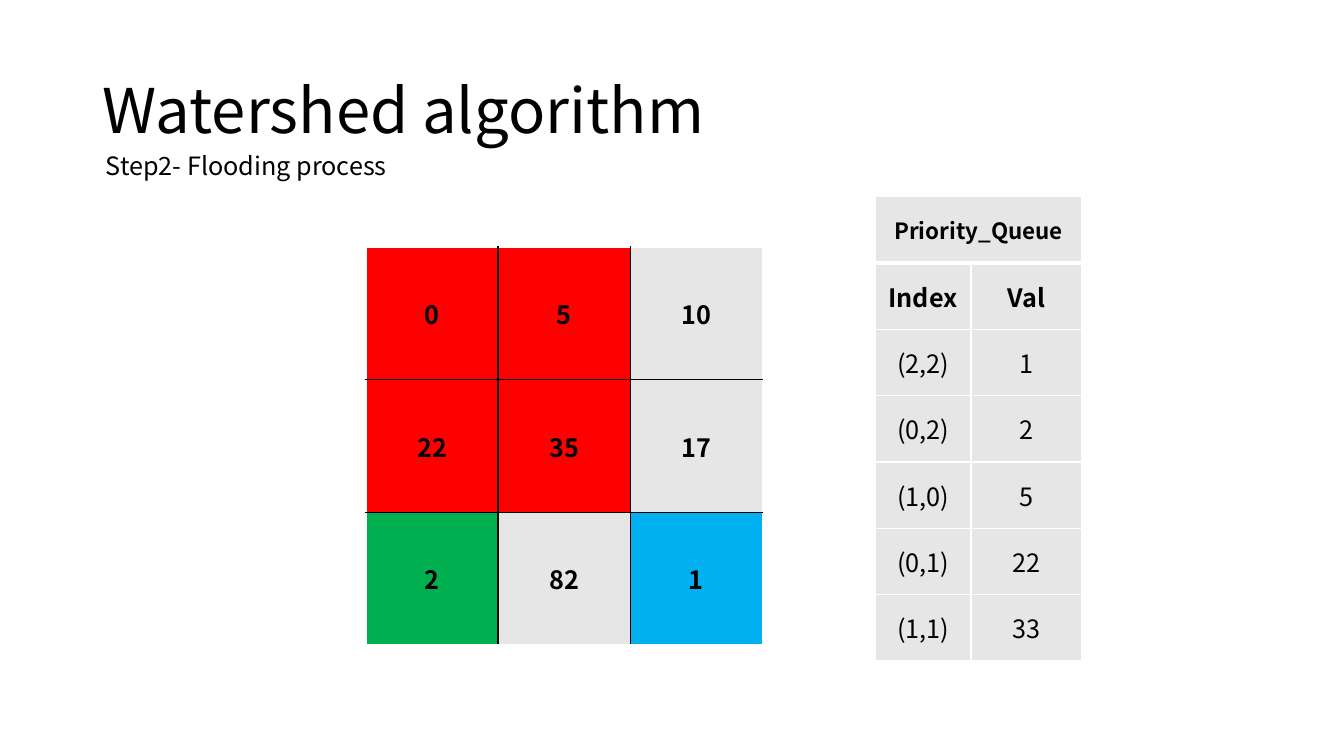
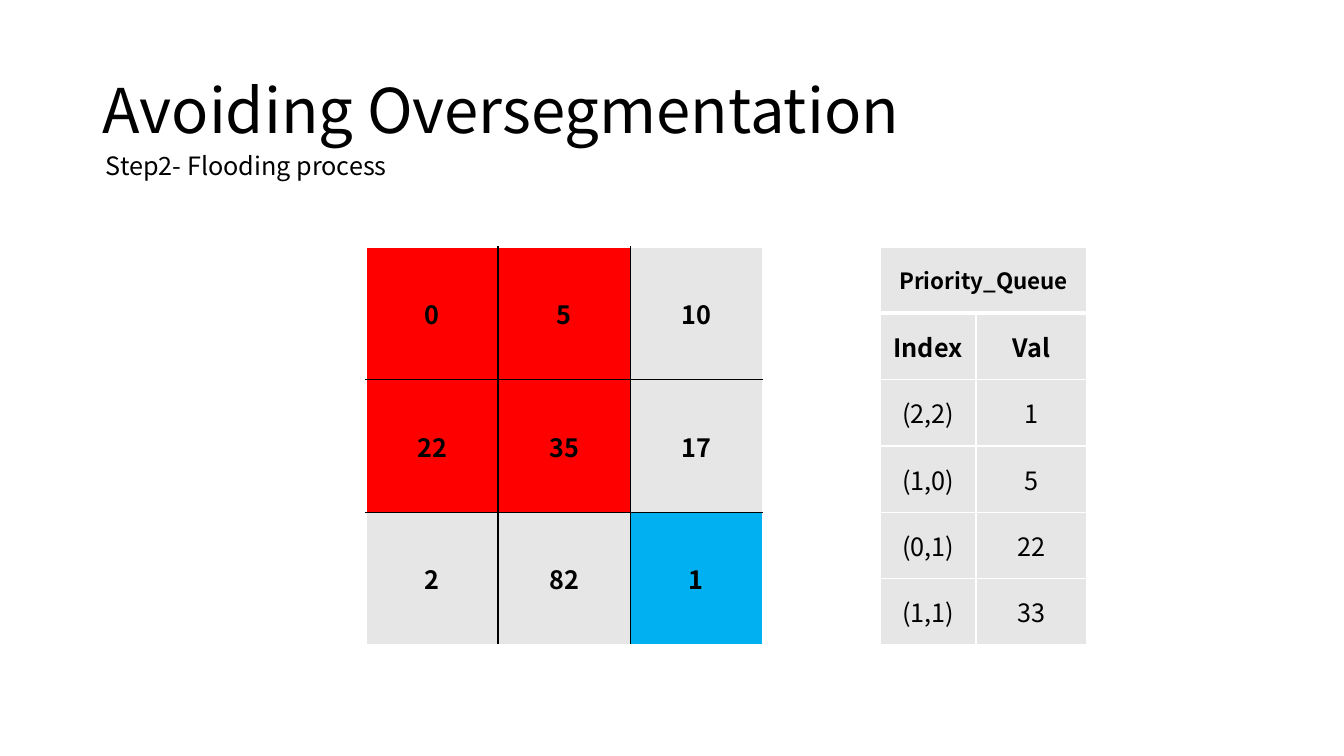
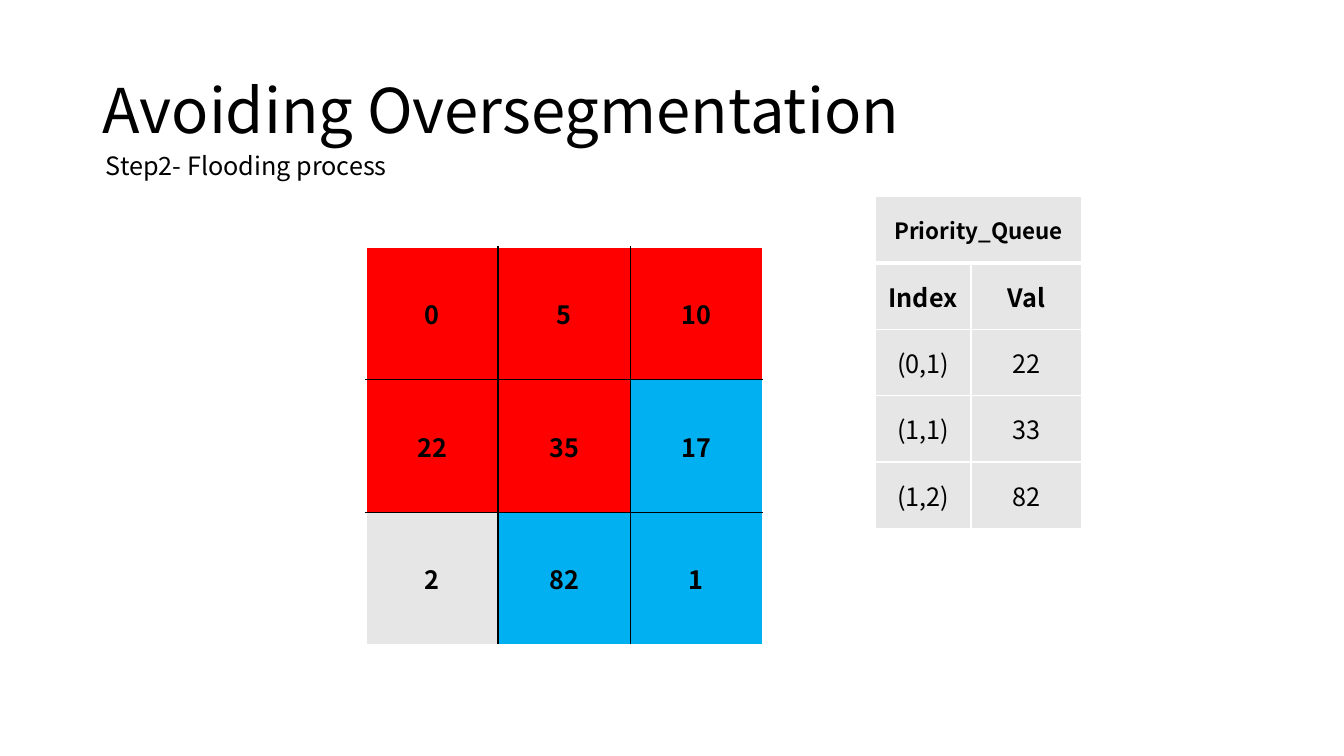
from lxml import etree
from pptx import Presentation
from pptx.dml.color import RGBColor
from pptx.enum.text import MSO_ANCHOR, MSO_AUTO_SIZE, PP_ALIGN
from pptx.oxml.ns import qn
from pptx.util import Inches, Pt

MIDDLE, TOP = MSO_ANCHOR.MIDDLE, MSO_ANCHOR.TOP
LEFT, CENTER = PP_ALIGN.LEFT, PP_ALIGN.CENTER
NO_FIT, GROW = MSO_AUTO_SIZE.NONE, MSO_AUTO_SIZE.SHAPE_TO_FIT_TEXT
TITLE_ONLY = 5

FONT = "Noto Sans CJK KR"
BLACK, WHITE, GRAY = "000000", "FFFFFF", "E7E6E6"
FILLS = {"R": "FF0000", "G": "00B050", "B": "00B0F0", "-": GRAY}

PIXELS = [[0, 5, 10], [22, 35, 17], [2, 82, 1]]
GRID_W, GRID_H = 3.93, 3.95
QUEUE_COLS = [0.95, 1.1]
QUEUE_ROW = GRID_H / 6


def rgb(value):
    return RGBColor.from_string(value)


def set_attrs(obj, values):
    for name, value in values.items():
        setattr(obj, name, value)


def set_border(cell, side, color, width):
    """Draw one side (L, R, T or B) of a cell; call before filling it."""
    ln = etree.SubElement(cell._tc.get_or_add_tcPr(), qn("a:ln" + side), w=str(Pt(width)))
    fill = etree.SubElement(ln, qn("a:solidFill"))
    etree.SubElement(fill, qn("a:srgbClr"), val=color)


class Deck:
    def __init__(self):
        self.prs = Presentation()
        self.prs.slide_width, self.prs.slide_height = Inches(13.33), Inches(7.5)
        self.s = None

    def add_text(self, tf, text, size, bold=False, align=LEFT):
        p = tf.paragraphs[0]
        p.alignment = align
        r = p.add_run()
        r.text = str(text)
        set_attrs(r.font, {"name": FONT, "size": Pt(size), "bold": bold})
        r.font.color.rgb = rgb(BLACK)
        return p

    def slide(self, title, subtitle):
        self.s = self.prs.slides.add_slide(self.prs.slide_layouts[TITLE_ONLY])
        self.title(title)
        self.subtitle(subtitle)

    def title(self, text):
        sp = self.s.shapes.title
        set_attrs(sp, {"left": Inches(0.92), "top": Inches(0.4),
                       "width": Inches(11.5), "height": Inches(1.45)})
        set_attrs(sp.text_frame, {"vertical_anchor": MIDDLE, "word_wrap": True,
                                  "auto_size": NO_FIT})
        self.add_text(sp.text_frame, text, 44).line_spacing = 0.9

    def subtitle(self, text):
        sp = self.s.shapes.add_textbox(Inches(0.95), Inches(1.44), Inches(6.21), Inches(0.4))
        set_attrs(sp.text_frame, {"vertical_anchor": TOP, "word_wrap": True,
                                  "auto_size": GROW})
        self.add_text(sp.text_frame, text, 18)

    def table(self, rows, cols, left, top, width, height):
        tbl = self.s.shapes.add_table(rows, cols, Inches(left), Inches(top),
                                      Inches(width), Inches(height)).table
        set_attrs(tbl, {"first_row": False, "horz_banding": False})
        return tbl

    def cell(self, cell, text, fill, borders, size=18, bold=False):
        for side, (color, width) in borders.items():
            set_border(cell, side, color, width)
        cell.fill.solid()
        cell.fill.fore_color.rgb = rgb(fill)
        cell.vertical_anchor = MIDDLE
        if text is not None:
            self.add_text(cell.text_frame, text, size, bold, CENTER)

    def pixel_grid(self, regions):
        """Pixel values, filled by region; lines only between cells."""
        n = len(PIXELS)
        tbl = self.table(n, n, 3.63, 2.45, GRID_W, GRID_H)
        for i, row in enumerate(PIXELS):
            for j, value in enumerate(row):
                inner = {"L": j > 0, "R": j < n - 1, "T": i > 0, "B": i < n - 1}
                borders = {side: (BLACK, 1) for side, shown in inner.items() if shown}
                self.cell(tbl.cell(i, j), value, FILLS[regions[i][j]], borders, bold=True)

    def queue(self, left, top, entries):
        """Priority queue: merged heading, column names, then the entries."""
        rows = [("Priority_Queue", None), ("Index", "Val"), *entries]
        tbl = self.table(len(rows), 2, left, top, sum(QUEUE_COLS), QUEUE_ROW * len(rows))
        for col, width in zip(tbl.columns, QUEUE_COLS):
            col.width = Inches(width)
        tbl.cell(0, 0).merge(tbl.cell(0, 1))
        for i, row in enumerate(rows):
            widths = {"L": 1, "R": 1, "T": 3 if i == 1 else 1, "B": 3 if i == 0 else 1}
            borders = {side: (WHITE, width) for side, width in widths.items()}
            for j, text in enumerate(row):
                self.cell(tbl.cell(i, j), text, GRAY, borders,
                          size=16 if i == 0 else 18, bold=i < 2)


# Title, region of each pixel, queue position, queue entries
STEPS = [
    ("Watershed algorithm", ["RR-", "RR-", "G-B"], (8.68, 1.95),
     [("(2,2)", 1), ("(0,2)", 2), ("(1,0)", 5), ("(0,1)", 22), ("(1,1)", 33)]),
    ("Avoiding Oversegmentation", ["RR-", "RR-", "--B"], (8.73, 2.45),
     [("(2,2)", 1), ("(1,0)", 5), ("(0,1)", 22), ("(1,1)", 33)]),
    ("Avoiding Oversegmentation", ["RRR", "RRB", "-BB"], (8.68, 1.95),
     [("(0,1)", 22), ("(1,1)", 33), ("(1,2)", 82)]),
]


def main():
    deck = Deck()
    for title, regions, (left, top), entries in STEPS:
        deck.slide(title, "Step2- Flooding process")
        deck.pixel_grid(regions)
        deck.queue(left, top, entries)
    deck.prs.save("out.pptx")


if __name__ == "__main__":
    main()
